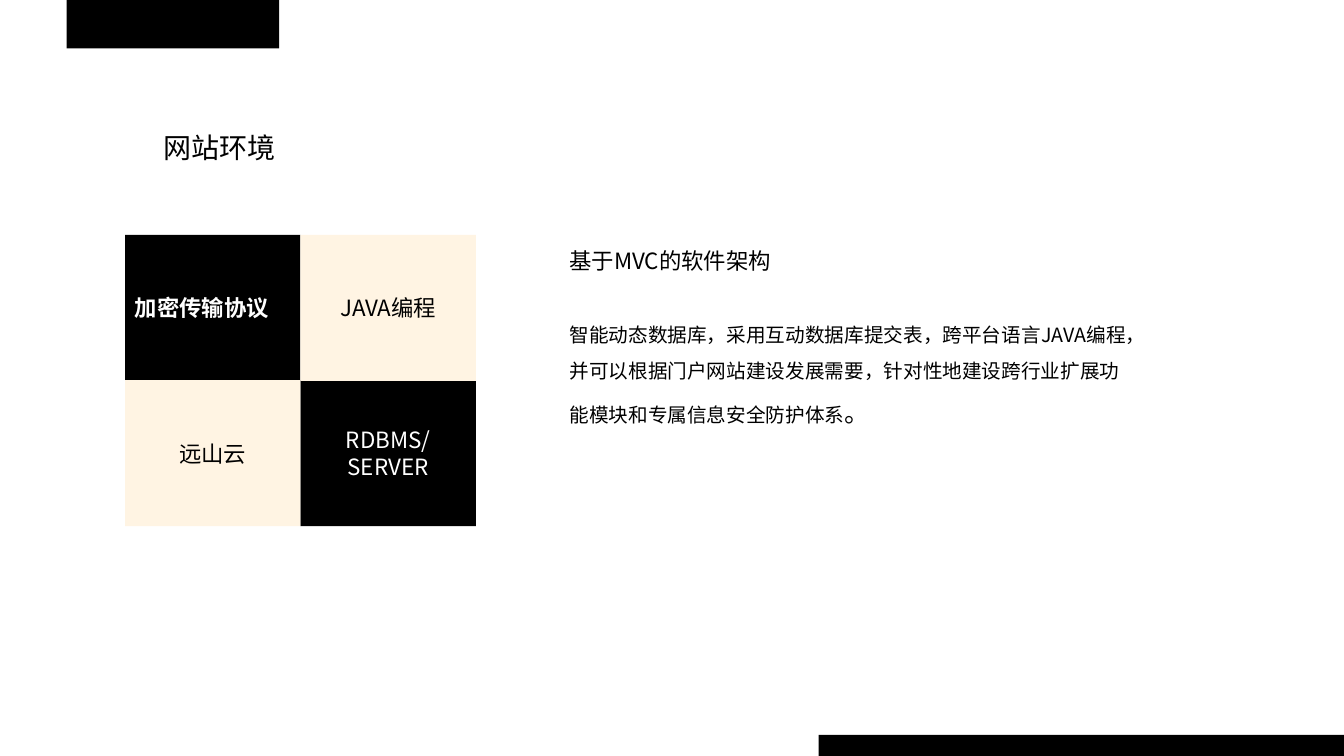
import pptx
import pptx.dml.color
import pptx.enum.shapes
import pptx.enum.text
import pptx.oxml
import pptx.oxml.ns
import pptx.util
from pptx.util import Inches

FONT = "Noto Sans CJK SC"
BLACK, WHITE, CREAM = "000000", "FFFFFF", "FFF4E3"
LEFT = pptx.enum.text.PP_ALIGN.LEFT
CENTER = pptx.enum.text.PP_ALIGN.CENTER
TOP = pptx.enum.text.MSO_ANCHOR.TOP
MIDDLE = pptx.enum.text.MSO_ANCHOR.MIDDLE

GRID_LEFT, GRID_TOP = 1.24, 2.33
TILE_WIDTH, TILE_HEIGHT = 1.74, 1.45
ROW_STEP = 1.44
# row, column, label, fill, text colour, alignment, bold
TILES = [
    (0, 0, "加密传输协议", BLACK, WHITE, LEFT, True),
    (1, 1, "RDBMS/SERVER", BLACK, WHITE, CENTER, False),
    (1, 0, "远山云", CREAM, BLACK, CENTER, False),
    (0, 1, "JAVA编程", CREAM, BLACK, CENTER, False),
]


def rgb(color):
    return pptx.dml.color.RGBColor.from_string(color)


def add_span(para, text, size, color=BLACK, bold=False, font=FONT):
    span = para.add_run()
    span.text = text
    span.font.size = pptx.util.Pt(size)
    span.font.bold = bold
    span.font.name = font
    span.font.color.rgb = rgb(color)
    east_asian = pptx.oxml.parse_xml(
        f'<a:ea {pptx.oxml.ns.nsdecls("a")} typeface="{font}"/>')
    span.font._element.find(pptx.oxml.ns.qn("a:latin")).addnext(east_asian)


def add_block(page, left, top, width, height, fill):
    block = page.shapes.add_shape(
        pptx.enum.shapes.MSO_SHAPE.RECTANGLE,
        Inches(left), Inches(top), Inches(width), Inches(height))
    block.shadow.inherit = False
    block.fill.solid()
    block.fill.fore_color.rgb = rgb(fill)
    block.line.fill.background()
    return block


def add_tile(page, row, column, label, fill, color, align, bold):
    tile = add_block(page, GRID_LEFT + column * TILE_WIDTH,
                     GRID_TOP + row * ROW_STEP, TILE_WIDTH, TILE_HEIGHT, fill)
    frame = tile.text_frame
    frame.word_wrap = True
    frame.vertical_anchor = MIDDLE
    para = frame.paragraphs[0]
    para.alignment = align
    add_span(para, label, 16, color, bold)


def add_text(page, left, top, width, height, line_spacing):
    """Add a wrapping text box and return its first paragraph."""
    box = page.shapes.add_textbox(
        Inches(left), Inches(top), Inches(width), Inches(height))
    box.text_frame.word_wrap = True
    para = box.text_frame.paragraphs[0]
    para.line_spacing = line_spacing
    return para


def set_title(page, text):
    title = page.shapes.title
    title.left, title.top = Inches(1.52), Inches(1.24)
    title.width, title.height = Inches(1.32), Inches(0.44)
    frame = title.text_frame
    frame.word_wrap = False
    frame.auto_size = pptx.enum.text.MSO_AUTO_SIZE.NONE
    frame.vertical_anchor = TOP
    para = frame.paragraphs[0]
    para.alignment = LEFT
    add_span(para, text, 20)


def main():
    deck = pptx.Presentation()
    deck.slide_width, deck.slide_height = Inches(13.33), Inches(7.5)
    page = deck.slides.add_slide(deck.slide_layouts.get_by_name("Title Only"))

    set_title(page, "网站环境")
    add_block(page, 8.12, 7.29, 5.21, 0.22, BLACK)
    add_block(page, 0.66, 0, 2.11, 0.48, BLACK)
    for tile in TILES:
        add_tile(page, *tile)

    heading = add_text(page, 5.55, 2.32, 2.97, 0.65, 1.3)
    add_span(heading, "基于MVC的软件架构", 16)
    detail = add_text(page, 5.55, 3.04, 5.79, 1.25, 1.5)
    add_span(detail, "智能动态数据库，采用互动数据库提交表，跨平台语言JAVA编程，"
                     "并可以根据门户网站建设发展需要，针对性地建设跨行业扩展功能模块"
                     "和专属信息安全防护体系", 14)
    add_span(detail, "。", 18, font="Arial")

    deck.save("out.pptx")


if __name__ == "__main__":
    main()
